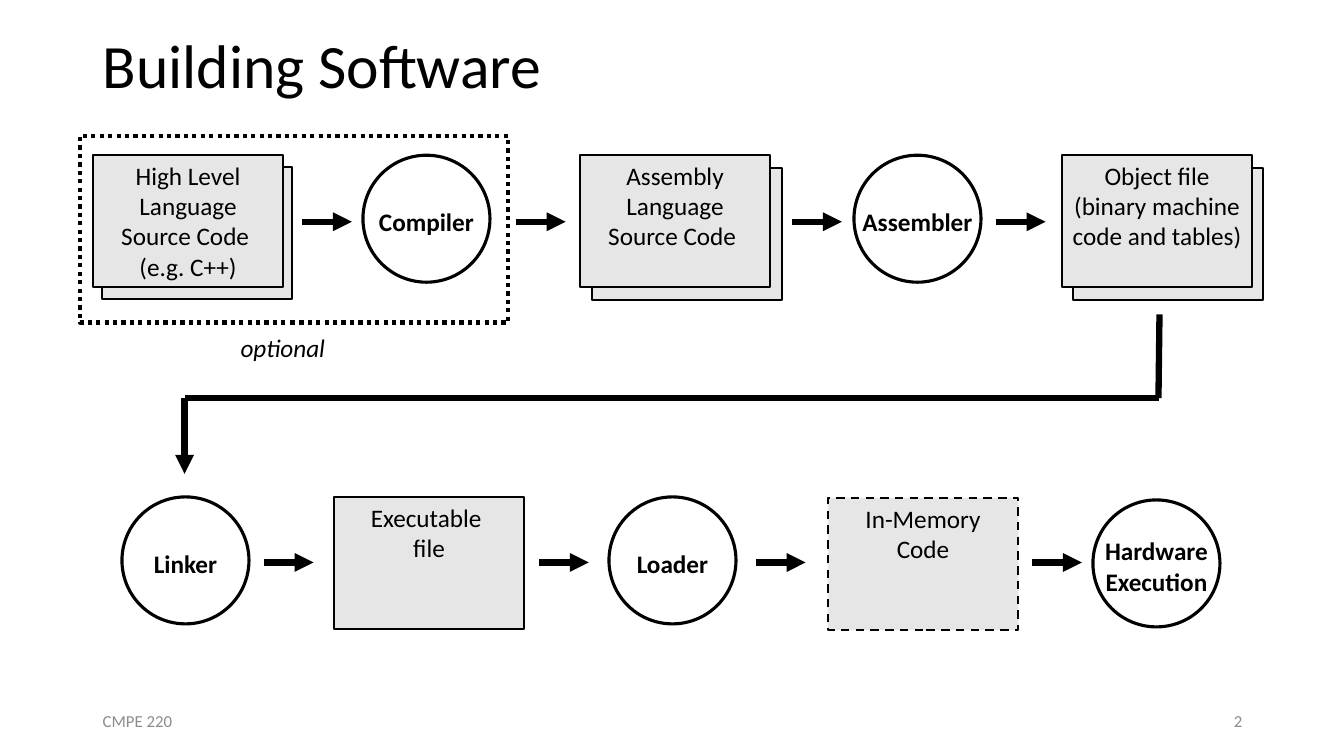
"""Draw the stages that turn source code into a running program."""
from lxml.etree import SubElement
from pptx import Presentation
from pptx.dml.color import RGBColor
from pptx.enum.dml import MSO_LINE
from pptx.enum.shapes import MSO_CONNECTOR, MSO_SHAPE
from pptx.enum.text import MSO_ANCHOR, PP_ALIGN
from pptx.oxml.ns import qn
from pptx.util import Inches, Pt

COLOR = {"ink": "000000", "paper": "E7E6E6", "muted": "8C8C8C"}
FONT = "Calibri"
WIDE, HIGH = 18.9, 13.1
DISK = 12.6
STEP = 4.9
TOP, LOW = 15.4, 49.3
LABEL = 4


def grid(count):
    """Turn a count of grid cells, ten to the inch, into a length."""
    return Inches(count / 10)


def tint(name):
    """Give the named colour."""
    return RGBColor.from_string(COLOR[name])


def write(frame, paras, size=18, color="ink", bold=None, slant=None,
          align=PP_ALIGN.CENTER, anchor=MSO_ANCHOR.TOP):
    """Fill a frame with paragraphs, each a list of lines."""
    frame.word_wrap = True
    frame.vertical_anchor = anchor
    for i, lines in enumerate(paras):
        para = frame.paragraphs[0] if i == 0 else frame.add_paragraph()
        para.alignment = align
        for j, line in enumerate(lines):
            if j:
                para.add_line_break()
            run = para.add_run()
            run.text = line
            font = run.font
            font.name, font.size = FONT, Pt(size)
            font.bold, font.italic = bold, slant
            font.color.rgb = tint(color)


def note(slide, x, y, w, h, lines, **style):
    """Add a text box with one paragraph."""
    box = slide.shapes.add_textbox(grid(x), grid(y), grid(w), grid(h))
    write(box.text_frame, [lines], **style)
    return box


def shape(slide, kind, x, y, w, h, width, fill=None, dash=None):
    """Add an outlined shape."""
    item = slide.shapes.add_shape(kind, grid(x), grid(y), grid(w), grid(h))
    item.shadow.inherit = False
    if fill:
        item.fill.solid()
        item.fill.fore_color.rgb = tint(fill)
    else:
        item.fill.background()
    item.line.color.rgb = tint("ink")
    item.line.width = Pt(width)
    if dash:
        item.line.dash_style = dash
    return item


def sheet(slide, x, y, paras, behind=None, dash=None):
    """Add a file box, with a second sheet behind it if an offset is given."""
    if behind:
        dx, dy = behind
        shape(slide, MSO_SHAPE.RECTANGLE, x + dx, y + dy, WIDE, HIGH, 1.5, "paper")
    front = shape(slide, MSO_SHAPE.RECTANGLE, x, y, WIDE, HIGH, 1.5, "paper", dash)
    write(front.text_frame, paras)


def tool(slide, x, y, *lines):
    """Add a circle with a bold label at its middle."""
    shape(slide, MSO_SHAPE.OVAL, x, y, DISK, DISK, 2.25)
    tall = LABEL + 3.1 * (len(lines) - 1)
    box = note(slide, x - 0.4, y + (DISK - tall) / 2 + 0.3, DISK + 0.8, tall,
               lines, bold=True)
    box.text_frame.margin_left = box.text_frame.margin_right = 0


def line(slide, x, y, x2, y2, head=True):
    """Add a thick line, with an arrowhead at its end by default."""
    link = slide.shapes.add_connector(
        MSO_CONNECTOR.STRAIGHT, grid(x), grid(y), grid(x2), grid(y2))
    link.line.color.rgb = tint("ink")
    link.line.width = Pt(4.5)
    if head:
        SubElement(link.line._get_or_add_ln(), qn("a:tailEnd"), type="triangle")
    SubElement(link._element.spPr, qn("a:effectLst"))


def main():
    """Build and save the slide."""
    deck = Presentation()
    deck.slide_width, deck.slide_height = Inches(13.33), Inches(7.5)
    slide = deck.slides.add_slide(deck.slide_layouts[6])

    title = note(slide, 9.2, 0, 115, 13.5, ["Building Software"], size=44,
                 align=PP_ALIGN.LEFT, anchor=MSO_ANCHOR.MIDDLE)
    title.text_frame.paragraphs[0].line_spacing = 0.9
    for x, text, align in ((9.2, "CMPE 220", PP_ALIGN.LEFT),
                           (94.2, "2", PP_ALIGN.RIGHT)):
        note(slide, x, 69.5, 30, 4, [text], size=12, color="muted",
             align=align, anchor=MSO_ANCHOR.MIDDLE)

    sheet(slide, 9.2, TOP, [["High Level Language Source Code ", "(e.g. C++)"]],
          behind=(0.9, 1.2))
    tool(slide, 36, TOP, "Compiler")
    sheet(slide, 57.5, TOP, [["Assembly Language Source Code "]], behind=(1.2, 1.3))
    tool(slide, 84.7, TOP, "Assembler")
    sheet(slide, 105.3, TOP, [["Object file", "(binary machine code and tables) "]],
          behind=(1.1, 1.3))

    tool(slide, 12.1, LOW, "Linker")
    sheet(slide, 33.1, LOW, [["Executable "], ["file"]])
    tool(slide, 60.4, LOW, "Loader")
    sheet(slide, 82.1, LOW + 0.1, [["In-Memory"], ["Code"]], dash=MSO_LINE.DASH)
    tool(slide, 108.4, LOW + 0.3, "Hardware", "Execution")

    for y, starts in ((22, (30, 51.2, 78.6, 98.8)),
                      (55.8, (26.2, 53.5, 75, 102.4))):
        for x in starts:
            line(slide, x, y, x + STEP, y)
    line(slide, 18.3, 39.5, 115, 39.5, head=False)
    line(slide, 115, 31.2, 114.9, 39.5, head=False)
    line(slide, 18.3, 39.5, 18.3, 47)

    shape(slide, MSO_SHAPE.RECTANGLE, 7.9, 13.5, 42.5, 18.5, 3,
          dash=MSO_LINE.ROUND_DOT)
    note(slide, 22.8, 32.5, 10.5, LABEL, ["optional"], slant=True)
    deck.save("out.pptx")


if __name__ == "__main__":
    main()
